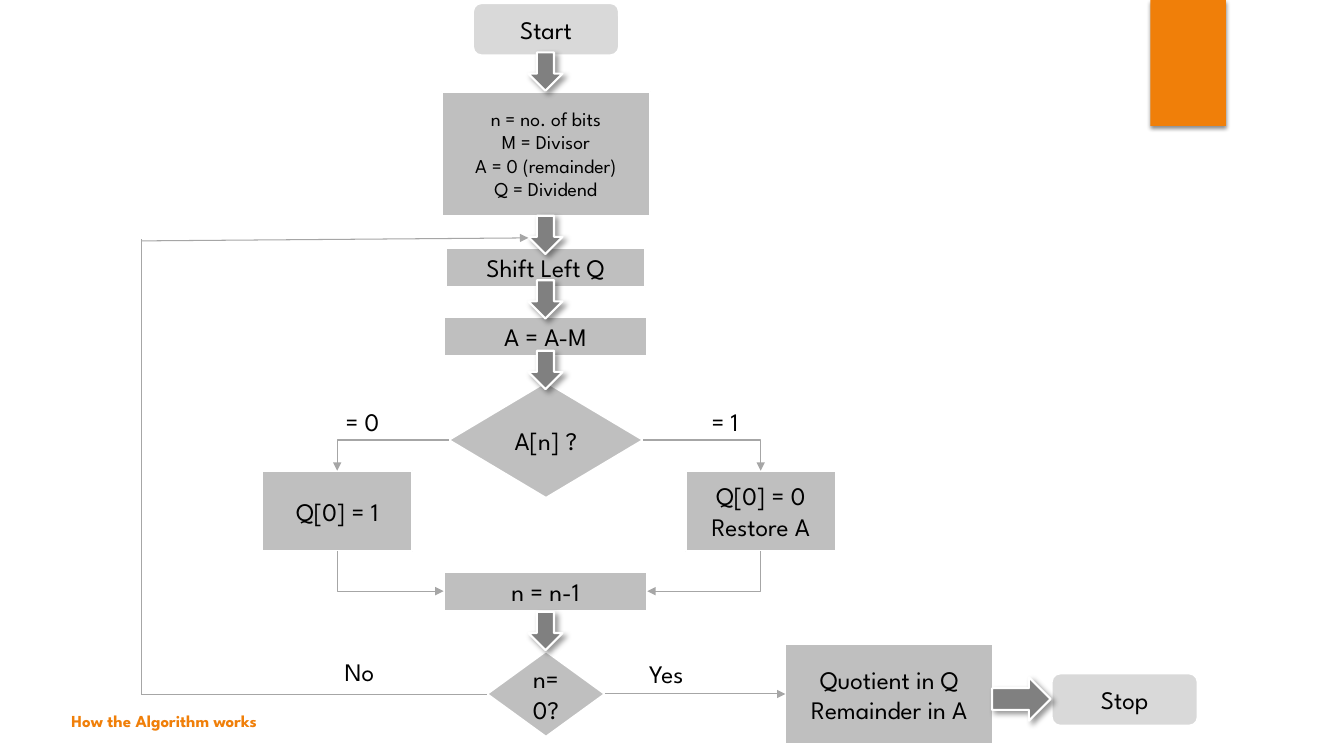
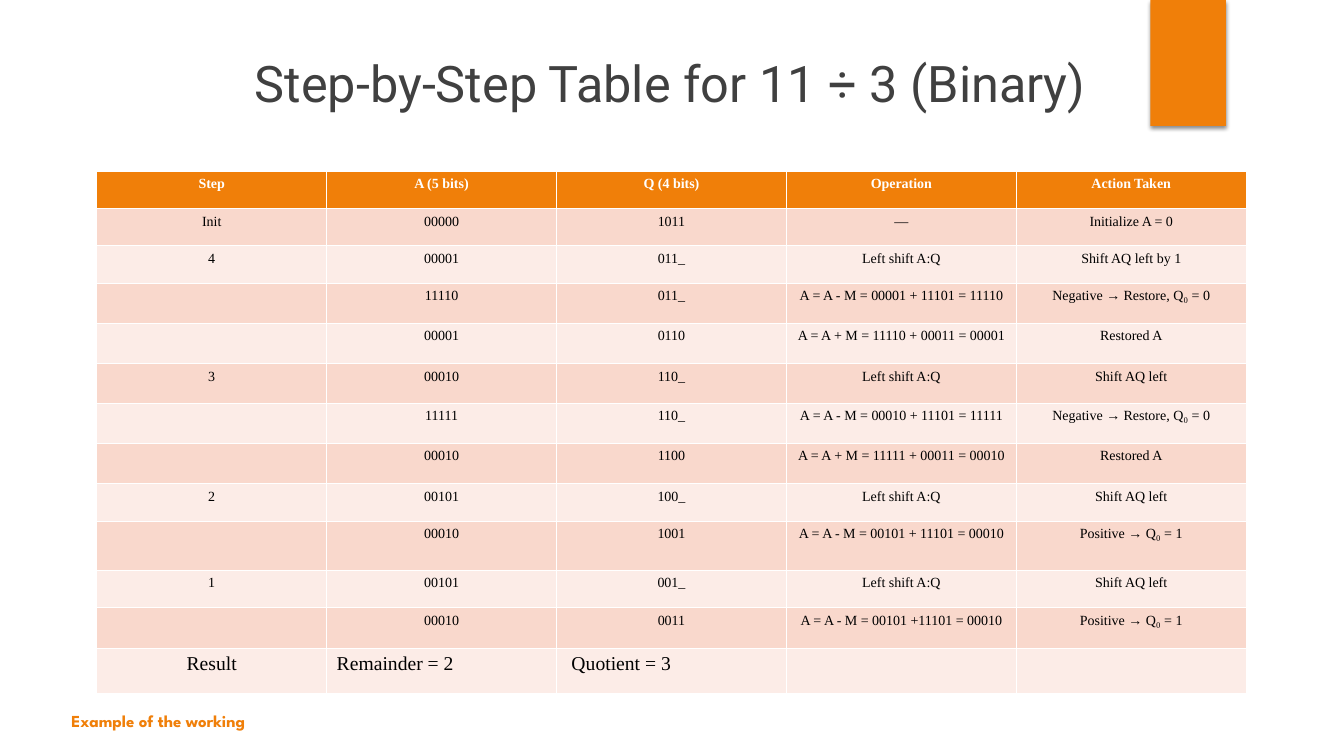
from lxml import etree
from pptx import Presentation
from pptx.dml.color import RGBColor
from pptx.enum.shapes import MSO_CONNECTOR as LINK, MSO_SHAPE as SHAPE
from pptx.enum.text import MSO_ANCHOR as ANCHOR, PP_ALIGN as ALIGN
from pptx.oxml.ns import qn
from pptx.util import Pt

PX = 9144
COLORS = {
    "orange": "F07F09", "white": "FFFFFF", "black": "000000", "title": "404040",
    "terminal": "D9D9D9", "step": "BFBFBF", "arrow": "808080", "link": "A6A6A6",
    "band_dark": "F9D8CC", "band_light": "FCECE7",
}
RGB = {name: RGBColor.from_string(value) for name, value in COLORS.items()}
FLOW_FONT, TITLE_FONT, TABLE_FONT = "League Spartan", "Roboto", "Times New Roman"


def write(frame, text, size, font, color="black", bold=False, align=ALIGN.LEFT):
    frame.text = text
    for paragraph in frame.paragraphs:
        paragraph.alignment = align
        for run in paragraph.runs:
            run.font.size = Pt(size)
            run.font.name = font
            run.font.bold = bold
            run.font.color.rgb = RGB[color]


def draw(slide, kind, box, fill, outlined=True, shadow=None):
    shape = slide.shapes.add_shape(kind, *[value * PX for value in box])
    shape.fill.solid()
    shape.fill.fore_color.rgb = RGB[fill]
    if outlined:
        shape.line.color.rgb = RGB["white"]
        shape.line.width = Pt(1.5)
    else:
        shape.line.fill.background()
    shape.shadow.inherit = False
    if shadow:
        alpha, blur, distance, angle = shadow
        effects = shape.element.spPr.find(qn("a:effectLst"))
        outer = etree.SubElement(effects, qn("a:outerShdw"), blurRad=str(Pt(blur)),
                                 dist=str(Pt(distance)), dir=str(angle * 60000), rotWithShape="0")
        tone = etree.SubElement(outer, qn("a:srgbClr"), val=COLORS["black"])
        etree.SubElement(tone, qn("a:alpha"), val=str(alpha * 1000))
    return shape


deck = Presentation()
deck.slide_width, deck.slide_height = 1333 * PX, 750 * PX
slides = []
for caption in ("How the Algorithm works", "Example of the working"):
    slide = deck.slides.add_slide(deck.slide_layouts[6])
    draw(slide, SHAPE.RECTANGLE, (1141, 0, 75, 125), "orange", False, (45, 3, 2, 90))
    footer = slide.shapes.add_textbox(61 * PX, 699 * PX, 422 * PX, 33 * PX).text_frame
    footer.word_wrap = True
    footer.vertical_anchor = ANCHOR.MIDDLE
    write(footer, caption, 12, FLOW_FONT, "orange", True)
    slides.append(slide)
flow, example = slides

CENTER = 541
STEPS = [
    ("Start", SHAPE.ROUNDED_RECTANGLE, CENTER, 3, 145, 52),
    ("n = no. of bits\nM = Divisor\nA = 0 (remainder)\nQ = Dividend", SHAPE.RECTANGLE, CENTER, 91, 207, 123),
    ("Shift Left Q", SHAPE.RECTANGLE, CENTER, 246, 198, 39),
    ("A = A-M", SHAPE.RECTANGLE, CENTER, 314, 202, 39),
    ("A[n] ?", SHAPE.DIAMOND, CENTER, 379, 193, 115),
    ("Q[0] = 0\nRestore A", SHAPE.RECTANGLE, 754, 467, 149, 80),
    ("Q[0] = 1", SHAPE.RECTANGLE, 334, 467, 149, 80),
    ("n = n-1", SHAPE.RECTANGLE, CENTER, 567, 202, 39),
    ("n=0?", SHAPE.DIAMOND, CENTER, 646, 117, 85),
    ("Quotient in Q\nRemainder in A", SHAPE.RECTANGLE, 882, 639, 206, 99),
    ("Stop", SHAPE.ROUNDED_RECTANGLE, 1115, 668, 145, 52),
]
steps = []
for text, kind, center, top, width, height in STEPS:
    fill = "terminal" if kind == SHAPE.ROUNDED_RECTANGLE else "step"
    step = draw(flow, kind, (center - width // 2, top, width, height), fill)
    write(step.text_frame, text, 14 if text.count("\n") > 1 else 18, FLOW_FONT, align=ALIGN.CENTER)
    steps.append(step)
sign_test, restore, keep, countdown, end_test, answer = steps[4:10]

ARROW_SHADOW = (40, 4, 3, 45)
for top in (52, 214, 278, 348, 607):
    draw(flow, SHAPE.DOWN_ARROW, (CENTER - 17, top, 34, 38), "arrow", shadow=ARROW_SHADOW)

TOP, LEFT, BOTTOM, RIGHT = range(4)
links = []
for source, source_side, target, target_side, kind, arrowhead in (
    (sign_test, RIGHT, restore, TOP, LINK.ELBOW, "a:tailEnd"),
    (sign_test, LEFT, keep, TOP, LINK.ELBOW, "a:tailEnd"),
    (countdown, RIGHT, restore, BOTTOM, LINK.ELBOW, "a:headEnd"),
    (countdown, LEFT, keep, BOTTOM, LINK.ELBOW, "a:headEnd"),
    (end_test, RIGHT, answer, LEFT, LINK.STRAIGHT, "a:tailEnd"),
):
    link = flow.shapes.add_connector(kind, 0, 0, 0, 0)
    link.begin_connect(source, source_side)
    link.end_connect(target, target_side)
    if kind == LINK.ELBOW:
        link.element.spPr.find(qn("a:prstGeom")).set("prst", "bentConnector2")
    links.append((link, arrowhead))
for ends, arrowhead in (
    ((483, 689, 140, 689), None),
    ((140, 689, 140, 237), None),
    ((140, 239, 524, 236), "a:tailEnd"),
):
    link = flow.shapes.add_connector(LINK.STRAIGHT, *[value * PX for value in ends])
    links.append((link, arrowhead))
for link, arrowhead in links:
    link.line.color.rgb = RGB["link"]
    link.line.width = Pt(0.75)
    if arrowhead:
        etree.SubElement(link.line._get_or_add_ln(), qn(arrowhead), type="triangle")
    etree.SubElement(link.element.spPr, qn("a:effectLst"))

draw(flow, SHAPE.RIGHT_ARROW, (984, 672, 58, 43), "arrow", shadow=ARROW_SHADOW)
for text, left, top, width in (
    ("= 1", 696, 398, 64), ("= 0", 333, 398, 70), ("No", 332, 646, 77), ("Yes", 634, 648, 73),
):
    label = flow.shapes.add_textbox(left * PX, top * PX, width * PX, 40 * PX).text_frame
    label.word_wrap = True
    write(label, text, 18, FLOW_FONT)

title = example.shapes.add_textbox(243 * PX, 47 * PX, 847 * PX, 77 * PX).text_frame
title.word_wrap = True
write(title, "Step-by-Step Table for 11 ÷ 3 (Binary)", 36, TITLE_FONT, "title")

ROWS = [
    ("Step", "A (5 bits)", "Q (4 bits)", "Operation", "Action Taken"),
    ("Init", "00000", "1011", "—", "Initialize A = 0"),
    ("4", "00001", "011_", "Left shift A:Q", "Shift AQ left by 1"),
    ("", "11110", "011_", "A = A - M = 00001 + 11101 = 11110", "Negative → Restore, Q₀ = 0"),
    ("", "00001", "0110", "A = A + M = 11110 + 00011 = 00001", "Restored A"),
    ("3", "00010", "110_", "Left shift A:Q", "Shift AQ left"),
    ("", "11111", "110_", "A = A - M = 00010 + 11101 = 11111", "Negative → Restore, Q₀ = 0"),
    ("", "00010", "1100", "A = A + M = 11111 + 00011 = 00010", "Restored A"),
    ("2", "00101", "100_", "Left shift A:Q", "Shift AQ left"),
    ("", "00010", "1001", "A = A - M = 00101 + 11101 = 00010", "Positive → Q₀ = 1"),
    ("1", "00101", "001_", "Left shift A:Q", "Shift AQ left"),
    ("", "00010", "0011", "A = A - M = 00101 +11101 = 00010", "Positive → Q₀ = 1"),
    ("Result", "Remainder = 2", " Quotient = 3", "", ""),
]
SPECIAL_HEIGHTS = {5: 39, 9: 49, 12: 45}
RESULT = len(ROWS) - 1
trace = example.shapes.add_table(len(ROWS), 5, 96 * PX, 170 * PX, 1140 * PX, 512 * PX).table
trace.horz_banding = False
for column in trace.columns:
    column.width = 228 * PX
for index, values in enumerate(ROWS):
    trace.rows[index].height = SPECIAL_HEIGHTS.get(index, 37) * PX
    header = index == 0
    fill = "orange" if header else "band_dark" if index % 2 else "band_light"
    for position, value in enumerate(values):
        cell = trace.cell(index, position)
        cell.fill.solid()
        cell.fill.fore_color.rgb = RGB[fill]
        align = ALIGN.LEFT if index == RESULT and position else ALIGN.CENTER
        write(cell.text_frame, value, 14 if index == RESULT else 10, TABLE_FONT,
              "white" if header else "black", header, align)

deck.save("out.pptx")
